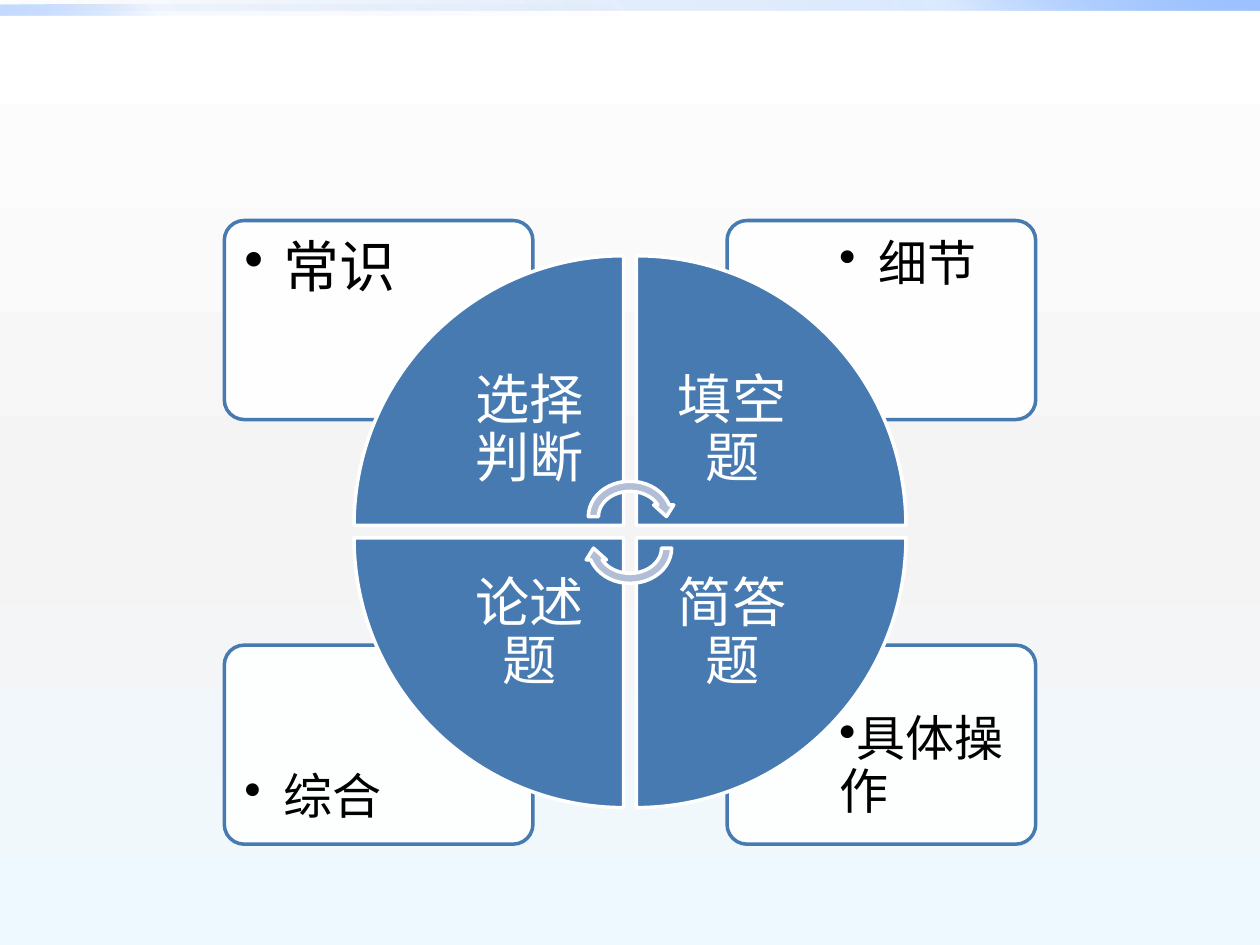
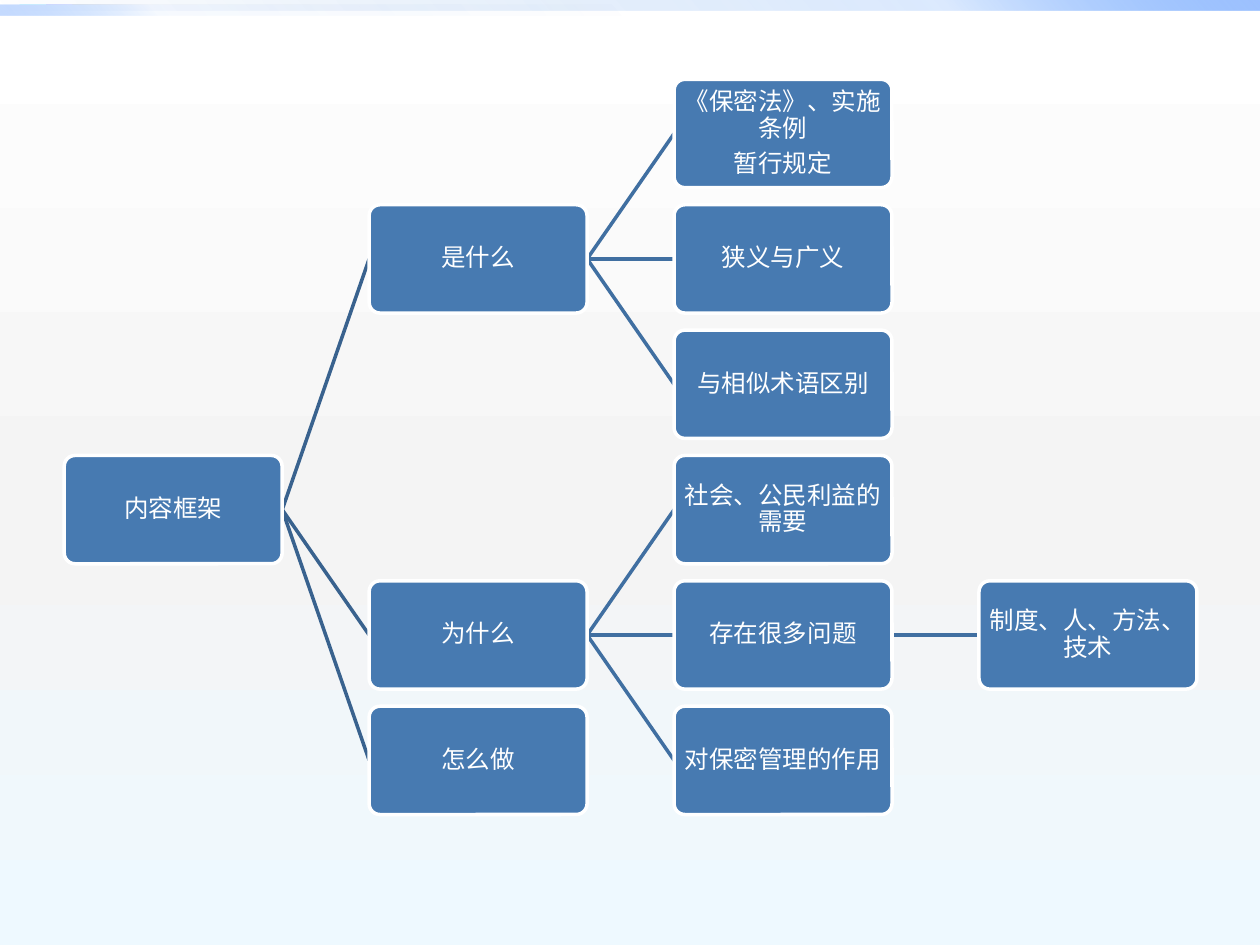
import pptx
import pptx.util
import pptx.dml.color
import pptx.enum.shapes
import pptx.enum.text
import pptx.oxml
import pptx.oxml.ns
import lxml.etree

Inches = pptx.util.Inches
Pt = pptx.util.Pt
KIND = pptx.enum.shapes.MSO_SHAPE
ALIGN = pptx.enum.text.PP_ALIGN
ANCHOR = pptx.enum.text.MSO_ANCHOR
qn = pptx.oxml.ns.qn

FONT = "Cambria"
BLUE, WHITE, BLACK, PALE = "477AB1", "FFFFFF", "000000", "B1BED5"
LINKS = {1: "39628E", 2: "406FA1", 3: "406FA1"}
BACK = [(0, "FFFFFF", 100), (55, "F4F4F4", 100), (100, "EEF9FF", 100)]
BANDS = [
    ((0, 0, 10, 0.08), 315, [(0, "0058B7", 0), (75, "4F95FF", 20), (100, "9EC2FF", 100)]),
    ((0, 0.04, 5, 0.08), 135, [(0, "0058B7", 0), (75, "4F95FF", 5), (100, "9EC2FF", 60)]),
]

# column, row, turn, wedge text, note, note size, hanging indent, note anchor
PARTS = [
    (1, 1, 180, "简答题", "具体操作", 28, 0, ANCHOR.TOP),
    (0, 1, 270, "论述题", "综合", 28, 0.31, ANCHOR.BOTTOM),
    (1, 0, 90, "填空题", "细节", 28, 0.31, ANCHOR.TOP),
    (0, 0, 0, "选择判断", "常识", 32, 0.31, ANCHOR.TOP),
]

# key: column, row, parent, lines
NODES = {
    "root": (0, 3, None, ["内容框架"]),
    "what": (1, 1, "root", ["是什么"]),
    "law": (2, 0, "what", ["《保密法》、实施条例", "暂行规定"]),
    "scope": (2, 1, "what", ["狭义与广义"]),
    "terms": (2, 2, "what", ["与相似术语区别"]),
    "why": (1, 4, "root", ["为什么"]),
    "need": (2, 3, "why", ["社会、公民利益的需要"]),
    "issue": (2, 4, "why", ["存在很多问题"]),
    "cause": (3, 4, "issue", ["制度、人、方法、技术"]),
    "role": (2, 5, "why", ["对保密管理的作用"]),
    "how": (1, 5, "root", ["怎么做"]),
}


def color(hex):
    return pptx.dml.color.RGBColor.from_string(hex)


def fade(root, stops, angle):
    solid = root.find(".//" + qn("a:solidFill"))
    marks = "".join(
        f'<a:gs pos="{pos * 1000}"><a:srgbClr val="{hex}">'
        f'<a:alpha val="{alpha * 1000}"/></a:srgbClr></a:gs>'
        for pos, hex, alpha in stops)
    grad = pptx.oxml.parse_xml(
        f'<a:gradFill {pptx.oxml.ns.nsdecls("a")} rotWithShape="1"><a:gsLst>{marks}</a:gsLst>'
        f'<a:lin ang="{angle * 60000}" scaled="0"/></a:gradFill>')
    solid.getparent().replace(solid, grad)


def draw(slide, kind, box, fill, edge=None, turn=0):
    shape = slide.shapes.add_shape(kind, *map(Inches, box))
    shape.shadow.inherit = False
    shape.rotation = turn
    shape.fill.solid()
    shape.fill.fore_color.rgb = color(fill)
    if edge:
        shape.line.color.rgb = color(edge)
        shape.line.width = Pt(2)
    else:
        shape.line.fill.background()
    return shape


def panel(slide, box, fill, edge):
    shape = draw(slide, KIND.ROUNDED_RECTANGLE, box, fill, edge)
    shape.adjustments[0] = 0.1
    return shape


def write(shape, lines, size, hue, inset, anchor=ANCHOR.MIDDLE, align=ALIGN.CENTER, space=0.35):
    frame = shape.text_frame
    frame.word_wrap = True
    frame.vertical_anchor = anchor
    frame.margin_left = frame.margin_right = Inches(inset)
    frame.margin_top = frame.margin_bottom = Inches(inset)
    for i, line in enumerate(lines):
        para = frame.add_paragraph() if i else frame.paragraphs[0]
        para.alignment = align
        para.line_spacing = 0.9
        para.space_after = Pt(round(size * space))
        run = para.add_run()
        run.text = line
        run.font.name = FONT
        run.font.size = Pt(size)
        run.font.color.rgb = color(hue)
    return frame


def bullet(para, hang):
    props = para._p.get_or_add_pPr()
    props.set("marL", str(Inches(hang)))
    props.set("indent", str(-Inches(hang)))
    lxml.etree.SubElement(props, qn("a:buChar")).set("char", "•")


def label(slide, box, *args, **opts):
    return write(slide.shapes.add_textbox(*map(Inches, box)), *args, **opts)


def theme(deck, slide):
    master = deck.slide_master
    master.background.fill.solid()
    fade(master.element, BACK, 90)
    for box, angle, stops in BANDS:
        band = draw(slide, KIND.RECTANGLE, box, BLUE)
        fade(band.element, stops, angle)
        master.shapes.element.append(band.element)


def wheel(slide):
    for col, row, turn, name, note, size, hang, anchor in PARTS:
        card = panel(slide, (1.78 + 3.99 * col, 1.75 + 3.37 * row, 2.45, 1.58), WHITE, BLUE)
        tint = card.element.spPr.find(".//" + qn("a:srgbClr"))
        lxml.etree.SubElement(tint, qn("a:alpha")).set("val", "90000")
        box = (1.82 + 4.72 * col, 1.78 + 3.77 * row, 1.64, 1.12)
        frame = label(slide, box, [note], size, BLACK, 0.12, anchor, ALIGN.LEFT, 0)
        bullet(frame.paragraphs[0], hang)
    for col, row, turn, name, *rest in PARTS:
        left, top = 2.81 + 2.24 * col, 2.03 + 2.24 * row
        draw(slide, KIND.PIE_WEDGE, (left, top, 2.14, 2.14), BLUE, WHITE, turn)
        box = (left + 0.63 * (1 - col), top + 0.63 * (1 - row), 1.52, 1.52)
        label(slide, box, [name], 31, WHITE, 0.24)
    for top, turn in ((3.78, 0), (4.03, 180)):
        draw(slide, KIND.CIRCULAR_ARROW, (4.63, top, 0.74, 0.64), PALE, WHITE, turn)


def tree(slide):
    wide, high = 1.73, 0.86

    def place(key):
        col, row = NODES[key][:2]
        return 0.51 + 2.42 * col, 0.63 + 0.995 * row

    for key, (col, row, parent, lines) in NODES.items():
        if parent:
            (x1, y1), (x2, y2) = place(parent), place(key)
            ends = (x1 + wide, y1 + high / 2, x2, y2 + high / 2)
            link = slide.shapes.add_connector(
                pptx.enum.shapes.MSO_CONNECTOR.STRAIGHT, *map(Inches, ends))
            link.line.color.rgb = color(LINKS[col])
            link.line.width = Pt(2)
            lxml.etree.SubElement(link.element.spPr, qn("a:effectLst"))
    for key, (col, row, parent, lines) in NODES.items():
        node = panel(slide, (*place(key), wide, high), BLUE, WHITE)
        write(node, lines, 14, WHITE, 0.01)


def main():
    deck = pptx.Presentation()
    deck.slide_width, deck.slide_height = Inches(10), Inches(7.5)
    first, second = [deck.slides.add_slide(deck.slide_layouts[6]) for _ in range(2)]
    theme(deck, first)
    wheel(first)
    tree(second)
    deck.save("out.pptx")


if __name__ == "__main__":
    main()
